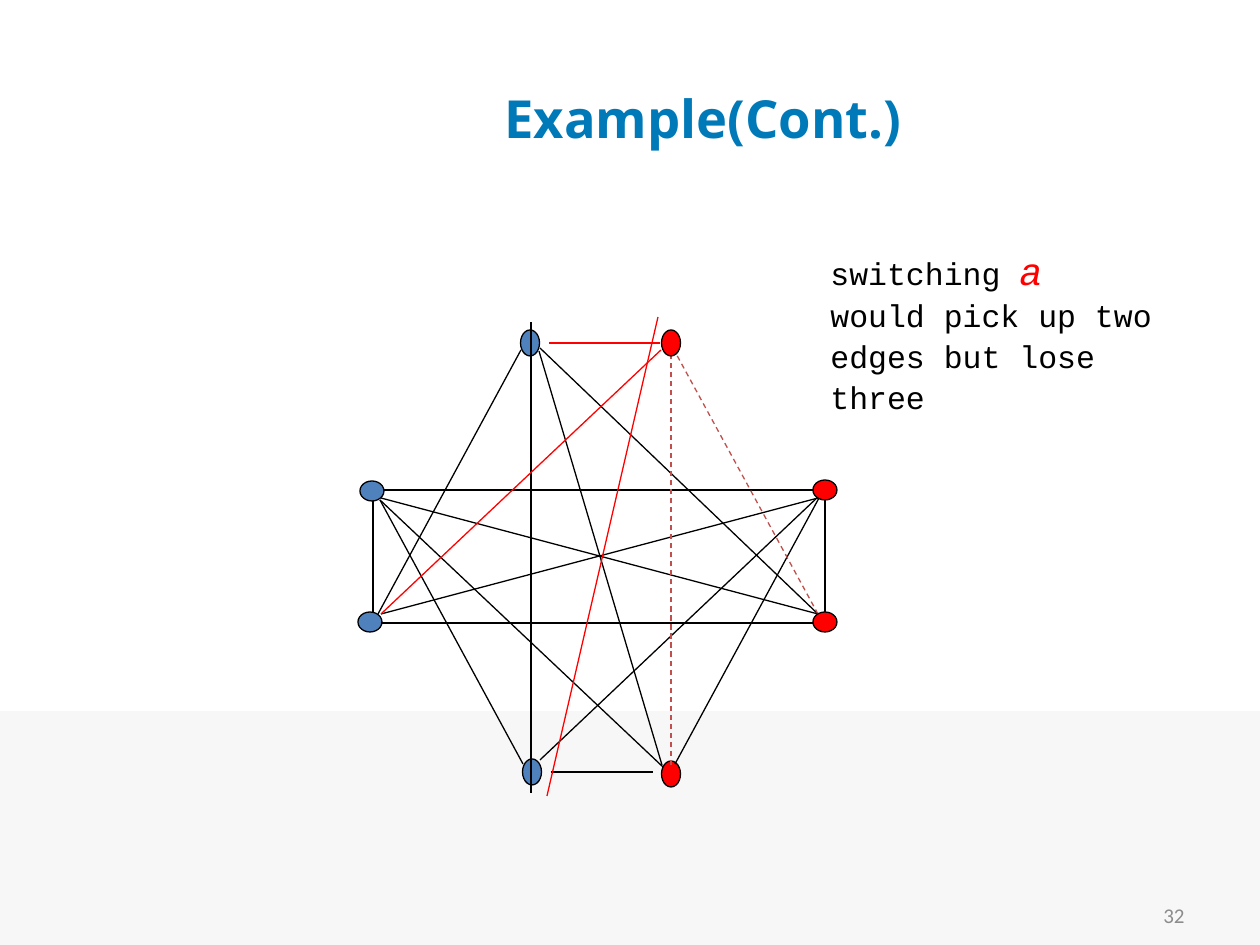
from lxml import etree
from pptx import Presentation
from pptx import util as u
from pptx.dml.color import RGBColor
from pptx.enum import dml, shapes, text
from pptx.oxml import ns

SCALE = 914400 / 126
BLACK = RGBColor(0x00, 0x00, 0x00)
RED = RGBColor(0xFF, 0x00, 0x00)
BRICK = RGBColor(0xC0, 0x50, 0x4D)
BLUE = RGBColor(0x4F, 0x81, 0xBD)
TITLE = RGBColor(0x00, 0x79, 0xB8)
GRAY = RGBColor(0x8C, 0x8C, 0x8C)
PALE = RGBColor(0xF7, 0xF7, 0xF7)

WIDE, TALL = (24, 20), (19, 26)
UNDER = [
    (370, 622, WIDE, BLUE),
    (532, 772, TALL, BLUE),
    (530, 343, TALL, BLUE),
    (671, 774, TALL, RED),
]
OVER = [
    (372, 491, WIDE, BLUE),
    (825, 490, WIDE, RED),
    (825, 622, WIDE, RED),
    (671, 343, TALL, RED),
]
EDGES = [
    (382, 490, 815, 490),
    (381, 623, 818, 623),
    (373, 501, 373, 612),
    (825, 500, 825, 620),
    (381, 498, 818, 614),
    (818, 498, 381, 614),
    (531, 793, 531, 322),
    (551, 772, 653, 772),
    (539, 351, 662, 765),
    (521, 350, 378, 614),
    (540, 348, 818, 614),
    (818, 497, 540, 760),
    (819, 498, 675, 764),
    (663, 767, 380, 500),
    (523, 764, 380, 500),
]
CUTS = [(549, 343, 660, 343), (547, 796, 658, 317), (661, 350, 381, 614)]
LOST = [(671, 765, 671, 346), (673, 348, 818, 614)]


def px(n):
    return u.Emu(round(n * SCALE))


def add_band(slide):
    band = slide.shapes.add_shape(
        shapes.MSO_SHAPE.RECTANGLE, px(0), px(711), px(1260), px(234))
    band.shadow.inherit = False
    band.fill.solid()
    band.fill.fore_color.rgb = PALE
    band.line.fill.background()


def add_node(slide, x, y, size, color):
    w, h = size
    node = slide.shapes.add_shape(
        shapes.MSO_SHAPE.OVAL, px(x - w / 2), px(y - h / 2), px(w), px(h))
    node.shadow.inherit = False
    node.fill.solid()
    node.fill.fore_color.rgb = color
    node.line.color.rgb = BLACK
    node.line.width = u.Pt(0.75)


def add_edge(slide, ends, color, dash=False):
    edge = slide.shapes.add_connector(
        shapes.MSO_CONNECTOR.STRAIGHT, *[px(n) for n in ends])
    edge.line.color.rgb = color
    edge.line.width = u.Pt(0.75)
    if dash:
        edge.line.dash_style = dml.MSO_LINE.DASH
    etree.SubElement(edge.element.spPr, ns.qn("a:effectLst"))


def set_font(font, name, size, color):
    font.name = name
    font.size = u.Pt(size)
    font.color.rgb = color


def add_title(slide):
    title = slide.shapes.title
    title.left, title.top, title.width, title.height = map(
        px, (223, 39, 974, 157))
    frame = title.text_frame
    frame.text = "Example(Cont.) "
    frame.vertical_anchor = text.MSO_ANCHOR.MIDDLE
    para = frame.paragraphs[0]
    para.alignment = text.PP_ALIGN.CENTER
    set_font(para.font, "Open Sans", 30, TITLE)
    para.font.bold = True


def add_box(slide, *area):
    frame = slide.shapes.add_textbox(*map(px, area)).text_frame
    frame.word_wrap = True
    return frame


def add_note(slide):
    para = add_box(slide, 818, 237, 367, 170).paragraphs[0]
    para.line_spacing = 1.08
    set_font(para.font, "Courier New", 18, BLACK)
    para.add_run().text = "switching "
    name = para.add_run()
    name.text = "a"
    name.font.size = u.Pt(22)
    name.font.italic = True
    name.font.color.rgb = RED
    para.add_line_break()
    para.add_run().text = "would pick up two edges but lose three"


def add_number(slide):
    frame = add_box(slide, 903, 890, 294, 50)
    frame.vertical_anchor = text.MSO_ANCHOR.MIDDLE
    para = frame.paragraphs[0]
    para.text = "32"
    para.alignment = text.PP_ALIGN.RIGHT
    set_font(para.font, "Calibri", 12, GRAY)


def main():
    deck = Presentation()
    deck.slide_width, deck.slide_height = px(1260), px(945)
    slide = deck.slides.add_slide(deck.slide_layouts[5])
    add_band(slide)
    add_number(slide)
    add_title(slide)
    for node in UNDER:
        add_node(slide, *node)
    for group, color, dash in (
            (EDGES, BLACK, False), (CUTS, RED, False), (LOST, BRICK, True)):
        for ends in group:
            add_edge(slide, ends, color, dash)
    for node in OVER:
        add_node(slide, *node)
    add_note(slide)
    deck.save("out.pptx")


if __name__ == "__main__":
    main()
